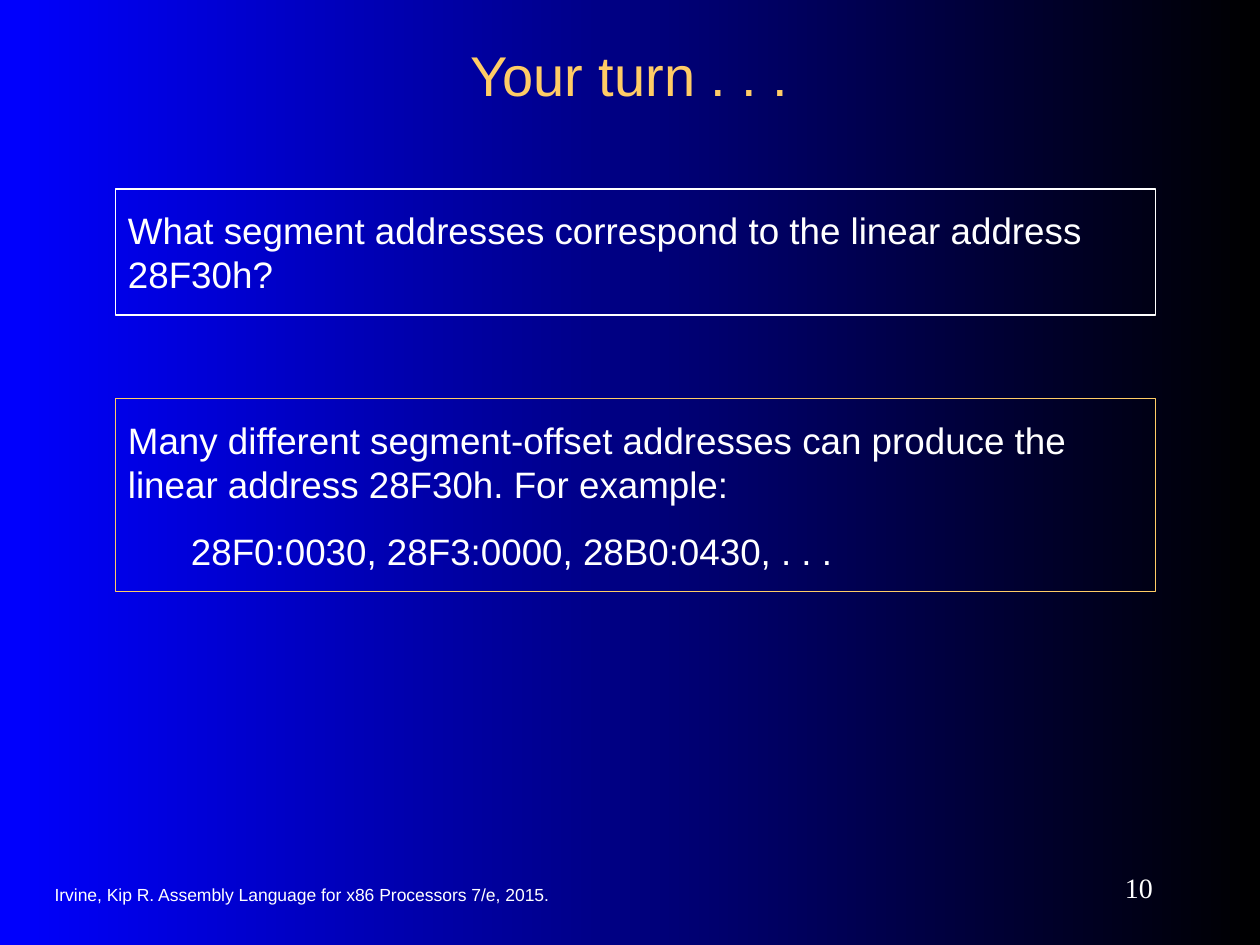
"""Build the "Your turn" slide on segment addresses."""
from pptx import Presentation
from pptx.dml.color import RGBColor
from pptx.enum.shapes import MSO_SHAPE
from pptx.enum.text import MSO_ANCHOR, MSO_AUTO_SIZE, PP_ALIGN
from pptx.util import Cm, Pt

BLUE = RGBColor(0x00, 0x00, 0xFF)
BLACK = RGBColor(0x00, 0x00, 0x00)
WHITE = RGBColor(0xFF, 0xFF, 0xFF)
GOLD = RGBColor(0xFF, 0xCC, 0x66)


def write_text(shape, text, size, font="Arial", color=WHITE, align=PP_ALIGN.LEFT,
               anchor=MSO_ANCHOR.MIDDLE, margin=Cm(0.13), space_before=0,
               auto_size=MSO_AUTO_SIZE.NONE):
    frame = shape.text_frame
    frame.word_wrap = True
    frame.auto_size = auto_size
    frame.vertical_anchor = anchor
    frame.margin_left = frame.margin_right = Cm(0.25)
    frame.margin_top = frame.margin_bottom = margin
    frame.text = text
    for paragraph in frame.paragraphs:
        paragraph.alignment = align
        paragraph.space_before = Pt(space_before)
        for run in paragraph.runs:
            run.font.size = Pt(size)
            run.font.name = font
            run.font.color.rgb = color


deck = Presentation()
deck.slide_width, deck.slide_height = Cm(25.4), Cm(19.05)
slide = deck.slides.add_slide(deck.slide_layouts[6])

backdrop = slide.background.fill
backdrop.gradient()
backdrop.gradient_angle = 0
for stop, position, color in zip(backdrop.gradient_stops, (0, 1), (BLUE, BLACK)):
    stop.position = position
    stop.color.rgb = color

citation = slide.shapes.add_textbox(Cm(0.85), Cm(17.6), Cm(12.28), Cm(0.85))
write_text(citation, "Irvine, Kip R. Assembly Language for x86 Processors 7/e, 2015.", 10)

page_number = slide.shapes.add_textbox(Cm(20.74), Cm(17.36), Cm(2.75), Cm(1.06))
write_text(page_number, "10", 16, font="Times New Roman", align=PP_ALIGN.RIGHT)

title = slide.shapes.add_textbox(Cm(1.9), Cm(0.64), Cm(21.59), Cm(1.69))
write_text(title, "Your turn . . .", 32, color=GOLD, align=PP_ALIGN.CENTER)

question = "What segment addresses correspond to the linear address 28F30h?"
answer = (
    "Many different segment-offset addresses can produce the linear address 28F30h. "
    "For example:\n\t28F0:0030, 28F3:0000, 28B0:0430, . . ."
)
for text, top, height, border in (
    (question, 3.81, 2.54, WHITE),
    (answer, 8.04, 3.89, GOLD),
):
    panel = slide.shapes.add_shape(
        MSO_SHAPE.RECTANGLE, Cm(2.33), Cm(top), Cm(20.96), Cm(height))
    panel.shadow.inherit = False
    panel.fill.background()
    panel.line.color.rgb = border
    panel.line.width = Pt(0.75)
    write_text(panel, text, 21, anchor=MSO_ANCHOR.TOP, margin=Cm(0.38),
               space_before=13.1, auto_size=MSO_AUTO_SIZE.SHAPE_TO_FIT_TEXT)

deck.save("out.pptx")
